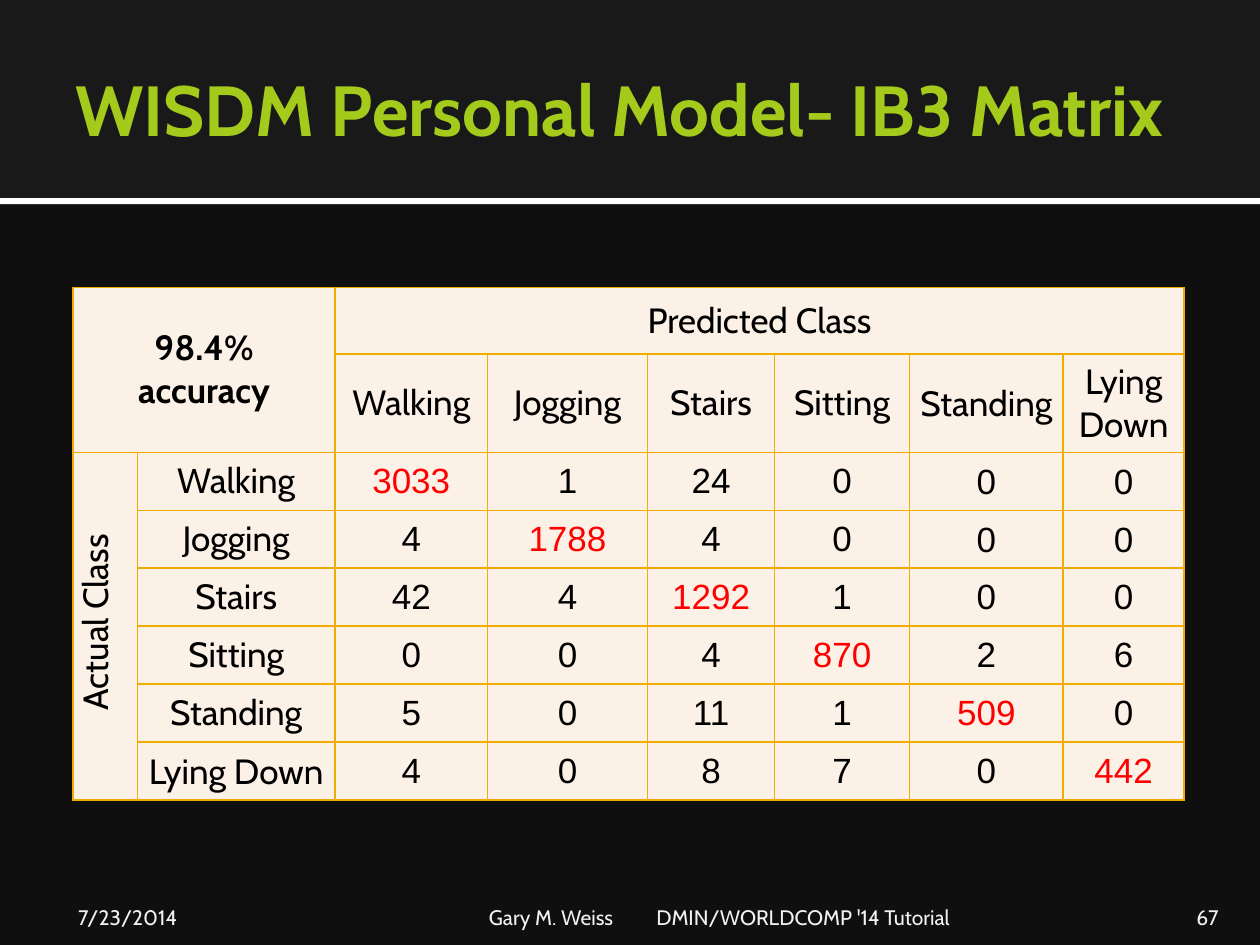
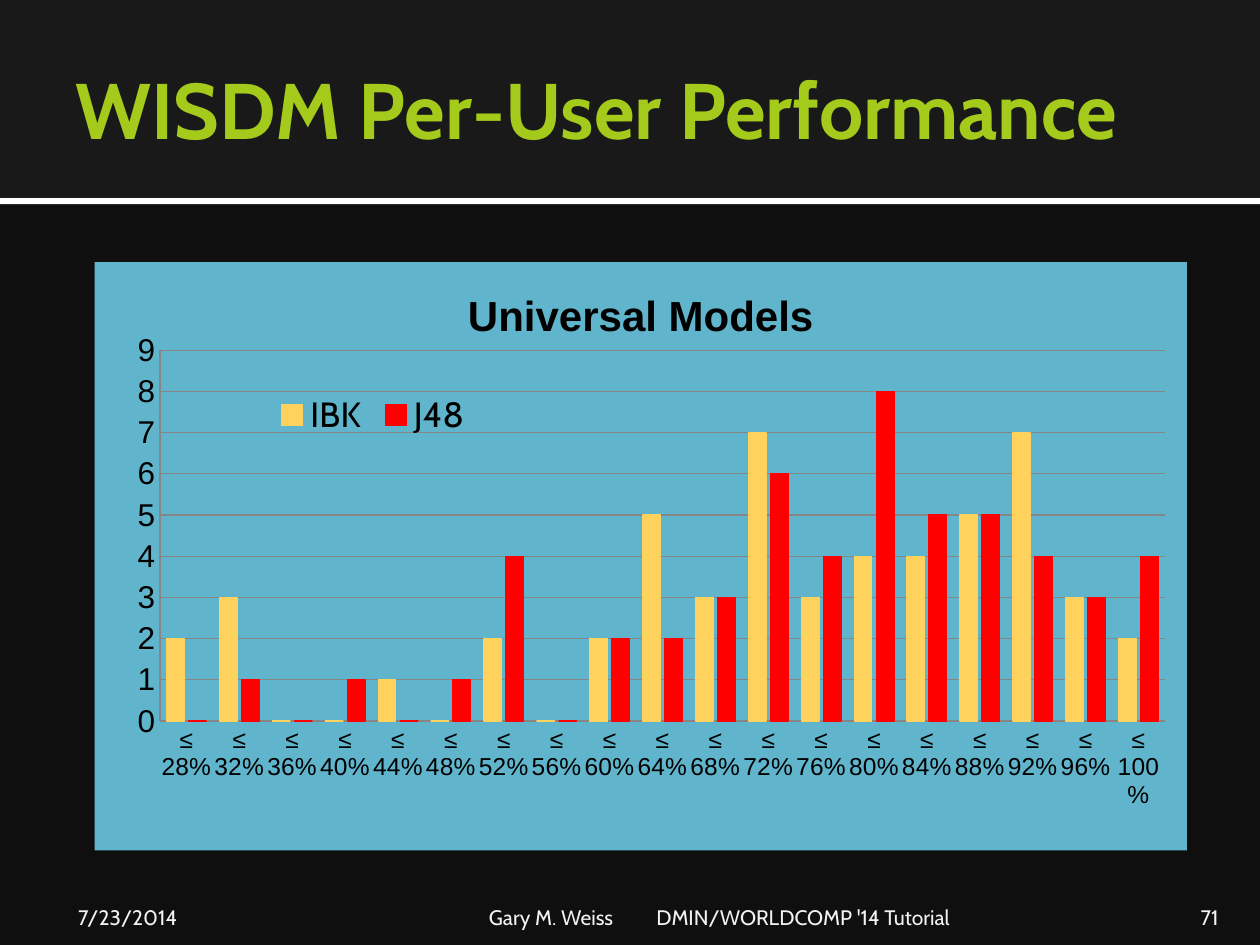
from lxml.etree import SubElement
from pptx import Presentation
from pptx.chart.data import CategoryChartData
from pptx.dml.color import RGBColor
from pptx.enum.chart import XL_CHART_TYPE, XL_LEGEND_POSITION, XL_TICK_MARK
from pptx.enum.shapes import MSO_SHAPE
from pptx.enum.text import MSO_ANCHOR, MSO_AUTO_SIZE, PP_ALIGN
from pptx.oxml import parse_xml
from pptx.oxml.ns import nsdecls, qn
from pptx.util import Inches, Pt

HEADING_FONT = "Cabin"
NUMBER_FONT = "Arial"
BACKGROUND = "0F0F0F"
TITLE_BAND = "191919"
WHITE = "FFFFFF"
BLACK = "000000"
RED = "FF0000"
TITLE_GREEN = "A4CA1B"
FOOTER_GREY = "F2F2F2"
CELL_CREAM = "FCF1E7"
BORDER_GOLD = "F0AD00"
CHART_BLUE = "60B5CC"
BAR_YELLOW = "FFD25D"
GRID_GREY = "868686"

NORMAL_MARGINS = (0.1, 0.05, 0.1, 0.05)
TIGHT_MARGINS = (0.01, 0.01, 0.01, 0)
COLUMN_WIDTHS = (0.51, 1.57, 1.21, 1.27, 1.01, 1.07, 1.22, 0.96)
ROW_HEIGHTS = (0.53, 0.78) + (0.46,) * 6
ACTIVITIES = ("Walking", "Jogging", "Stairs", "Sitting", "Standing", "Lying Down")
CONFUSION_COUNTS = (
    (3033, 1, 24, 0, 0, 0),
    (4, 1788, 4, 0, 0, 0),
    (42, 4, 1292, 1, 0, 0),
    (0, 0, 4, 870, 2, 6),
    (5, 0, 11, 1, 509, 0),
    (4, 0, 8, 7, 0, 442),
)
USERS_BY_ACCURACY = (
    ("IBK", BAR_YELLOW, (2, 3, 0, 0, 1, 0, 2, 0, 2, 5, 3, 7, 3, 4, 4, 5, 7, 3, 2)),
    ("J48", RED, (0, 1, 0, 1, 0, 1, 4, 0, 2, 2, 3, 6, 4, 8, 5, 5, 4, 3, 4)),
)


def color(value):
    return RGBColor.from_string(value)


def fill_solid(fill, value):
    fill.solid()
    fill.fore_color.rgb = color(value)


def format_font(font, size, value=BLACK, name=HEADING_FONT, bold=False):
    font.size = Pt(size)
    font.name = name
    font.bold = bold
    font.color.rgb = color(value)


def add_run(paragraph, text, size, value=BLACK, name=HEADING_FONT, bold=False):
    run = paragraph.add_run()
    run.text = text
    format_font(run.font, size, value, name, bold)


def set_margins(target, margins):
    left, top, right, bottom = (Inches(margin) for margin in margins)
    target.margin_left, target.margin_top = left, top
    target.margin_right, target.margin_bottom = right, bottom


def add_band(slide, top, height, value):
    band = slide.shapes.add_shape(
        MSO_SHAPE.RECTANGLE, 0, Inches(top), Inches(10), Inches(height))
    band.shadow.inherit = False
    fill_solid(band.fill, value)
    band.line.fill.background()
    slide.shapes.title.element.addprevious(band.element)


def format_title(slide, text, size):
    title = slide.shapes.title
    title.left, title.top = Inches(0.5), Inches(0.17)
    title.width, title.height = Inches(9), Inches(1.37)
    frame = title.text_frame
    frame.word_wrap = True
    frame.auto_size = MSO_AUTO_SIZE.NONE
    frame.vertical_anchor = MSO_ANCHOR.MIDDLE
    set_margins(frame, (0.1, 0.05, 0.05, 0.05))
    paragraph = frame.paragraphs[0]
    paragraph.alignment = PP_ALIGN.LEFT
    add_run(paragraph, text, size, TITLE_GREEN, bold=True)


def add_footer_text(slide, left, width, side_margins, texts, alignment=PP_ALIGN.LEFT):
    box = slide.shapes.add_textbox(Inches(left), Inches(7.08), Inches(width), Inches(0.3))
    frame = box.text_frame
    frame.word_wrap = True
    frame.vertical_anchor = MSO_ANCHOR.BOTTOM
    set_margins(frame, (side_margins[0], 0.05, side_margins[1], 0))
    paragraph = frame.paragraphs[0]
    paragraph.alignment = alignment
    for text in texts:
        add_run(paragraph, text, 12, FOOTER_GREY)
    return paragraph


def add_tab_stop(paragraph, position):
    properties = paragraph._p.get_or_add_pPr()
    tab_list = SubElement(properties, qn("a:tabLst"))
    SubElement(tab_list, qn("a:tab"), pos=str(Inches(position)), algn="l")


def add_content_slide(presentation, title, title_size, number):
    slide = presentation.slides.add_slide(presentation.slide_layouts[5])
    add_band(slide, 1.57, 0.05, WHITE)
    add_band(slide, 0, 1.57, TITLE_BAND)
    format_title(slide, title, title_size)
    add_footer_text(slide, 0.5, 2.33, (0.12, 0.05), ["7/23/2014"])
    event = add_footer_text(slide, 3.83, 5.08, (0.05, 0.05),
                            ["Gary M. Weiss", "\tDMIN/WORLDCOMP '14 Tutorial"])
    add_tab_stop(event, 1.33)
    add_footer_text(slide, 8.97, 0.8, (0.1, 0.1), [str(number)], PP_ALIGN.RIGHT)
    return slide


def add_cell_borders(cell):
    properties = cell._tc.get_or_add_tcPr()
    for side in ("lnL", "lnR", "lnT", "lnB"):
        line = SubElement(properties, qn(f"a:{side}"), w=str(Pt(1)))
        line_fill = SubElement(line, qn("a:solidFill"))
        SubElement(line_fill, qn("a:srgbClr"), val=BORDER_GOLD)


def write_cell(cell, lines, value=BLACK, name=HEADING_FONT, bold=False, tight=False):
    cell.vertical_anchor = MSO_ANCHOR.MIDDLE
    set_margins(cell, TIGHT_MARGINS if tight else NORMAL_MARGINS)
    paragraph = cell.text_frame.paragraphs[0]
    paragraph.alignment = PP_ALIGN.CENTER
    for index, line in enumerate(lines):
        if index:
            paragraph.add_line_break()
        add_run(paragraph, line, 20, value, name, bold)


def add_confusion_matrix(slide):
    table = slide.shapes.add_table(
        len(ROW_HEIGHTS), len(COLUMN_WIDTHS), Inches(0.58), Inches(2.28),
        Inches(sum(COLUMN_WIDTHS)), Inches(sum(ROW_HEIGHTS))).table
    table.first_row = False
    table.horz_banding = False
    for column, width in zip(table.columns, COLUMN_WIDTHS):
        column.width = Inches(width)
    for row, height in zip(table.rows, ROW_HEIGHTS):
        row.height = Inches(height)
    for cell in table.iter_cells():
        add_cell_borders(cell)
        fill_solid(cell.fill, CELL_CREAM)

    table.cell(0, 0).merge(table.cell(1, 1))
    table.cell(0, 2).merge(table.cell(0, 7))
    table.cell(2, 0).merge(table.cell(7, 0))
    write_cell(table.cell(0, 0), ["98.4%", "accuracy"], bold=True)
    write_cell(table.cell(0, 2), ["Predicted Class"])
    write_cell(table.cell(2, 0), [" Actual Class"], tight=True)
    table.cell(2, 0)._tc.get_or_add_tcPr().set("vert", "vert270")

    last = len(ACTIVITIES) - 1
    for actual, (activity, counts) in enumerate(zip(ACTIVITIES, CONFUSION_COUNTS)):
        write_cell(table.cell(1, actual + 2), activity.split(), tight=actual >= last - 1)
        write_cell(table.cell(actual + 2, 1), [activity], tight=actual == last)
        for predicted, count in enumerate(counts):
            write_cell(table.cell(actual + 2, predicted + 2), [str(count)],
                       RED if actual == predicted else BLACK, NUMBER_FONT,
                       tight=actual == last or predicted >= last - 1)


def set_layout(parent, position, left, top, width, height, target=""):
    for layout in parent.findall(qn("c:layout")):
        parent.remove(layout)
    values = {"x": left, "y": top, "w": width, "h": height}
    target_tag = f'<c:layoutTarget val="{target}"/>' if target else ""
    modes = "".join(f'<c:{axis}Mode val="edge"/>' for axis in "xy")
    sizes = "".join(f'<c:{key} val="{value}"/>' for key, value in values.items())
    parent.insert(position, parse_xml(
        f'<c:layout {nsdecls("c")}><c:manualLayout>'
        f'{target_tag}{modes}{sizes}</c:manualLayout></c:layout>'))


def fill_chart_area(chart, value):
    chart.element.find(qn("c:chart")).addnext(parse_xml(
        f'<c:spPr {nsdecls("c", "a")}><a:solidFill><a:srgbClr val="{value}"/>'
        '</a:solidFill><a:ln><a:noFill/></a:ln></c:spPr>'))


def format_axis(axis, size):
    axis.major_tick_mark = XL_TICK_MARK.NONE
    axis.minor_tick_mark = XL_TICK_MARK.NONE
    format_font(axis.tick_labels.font, size, name=NUMBER_FONT)
    axis.format.line.color.rgb = color(GRID_GREY)


def add_accuracy_chart(slide):
    data = CategoryChartData()
    data.categories = [f"≤ {percent}%" for percent in range(28, 101, 4)]
    for name, _, values in USERS_BY_ACCURACY:
        data.add_series(name, values)
    chart = slide.shapes.add_chart(
        XL_CHART_TYPE.COLUMN_CLUSTERED, Inches(0.75), Inches(2.08),
        Inches(8.67), Inches(4.67), data).chart
    format_font(chart.font, 10)
    fill_chart_area(chart, CHART_BLUE)

    chart.has_title = True
    add_run(chart.chart_title.text_frame.paragraphs[0], "Universal Models", 24,
            name=NUMBER_FONT, bold=True)
    chart.chart_title.include_in_layout = False

    chart.has_legend = True
    chart.legend.position = XL_LEGEND_POSITION.BOTTOM
    chart.legend.include_in_layout = False
    format_font(chart.legend.font, 20)
    set_layout(chart.legend._element, 1, 0.16, 0.22, 0.19, 0.08)

    format_axis(chart.category_axis, 14)
    format_axis(chart.value_axis, 18)
    chart.value_axis.minimum_scale = 0
    chart.value_axis.maximum_scale = 9
    chart.value_axis.major_unit = 1
    chart.value_axis.has_major_gridlines = True
    chart.value_axis.major_gridlines.format.line.color.rgb = color(GRID_GREY)

    plot = chart.plots[0]
    plot.gap_width = 75
    plot.overlap = -25
    plot.vary_by_categories = False
    for series, (_, value, _) in zip(plot.series, USERS_BY_ACCURACY):
        series.invert_if_negative = False
        fill_solid(series.format.fill, value)
        series.format.line.color.rgb = color(value)
        series.format.line.width = Pt(0.75)
    plot_area = chart.element.find(qn("c:chart")).find(qn("c:plotArea"))
    set_layout(plot_area, 0, 0.06, 0.15, 0.92, 0.63, "inner")


def main():
    presentation = Presentation()
    presentation.slide_width = Inches(10)
    presentation.slide_height = Inches(7.5)
    fill_solid(presentation.slide_master.background.fill, BACKGROUND)

    matrix_slide = add_content_slide(
        presentation, "WISDM Personal Model- IB3 Matrix", 40.5, 67)
    add_confusion_matrix(matrix_slide)

    performance_slide = add_content_slide(
        presentation, "WISDM Per-User Performance", 45, 71)
    add_accuracy_chart(performance_slide)

    presentation.save("out.pptx")


if __name__ == "__main__":
    main()
